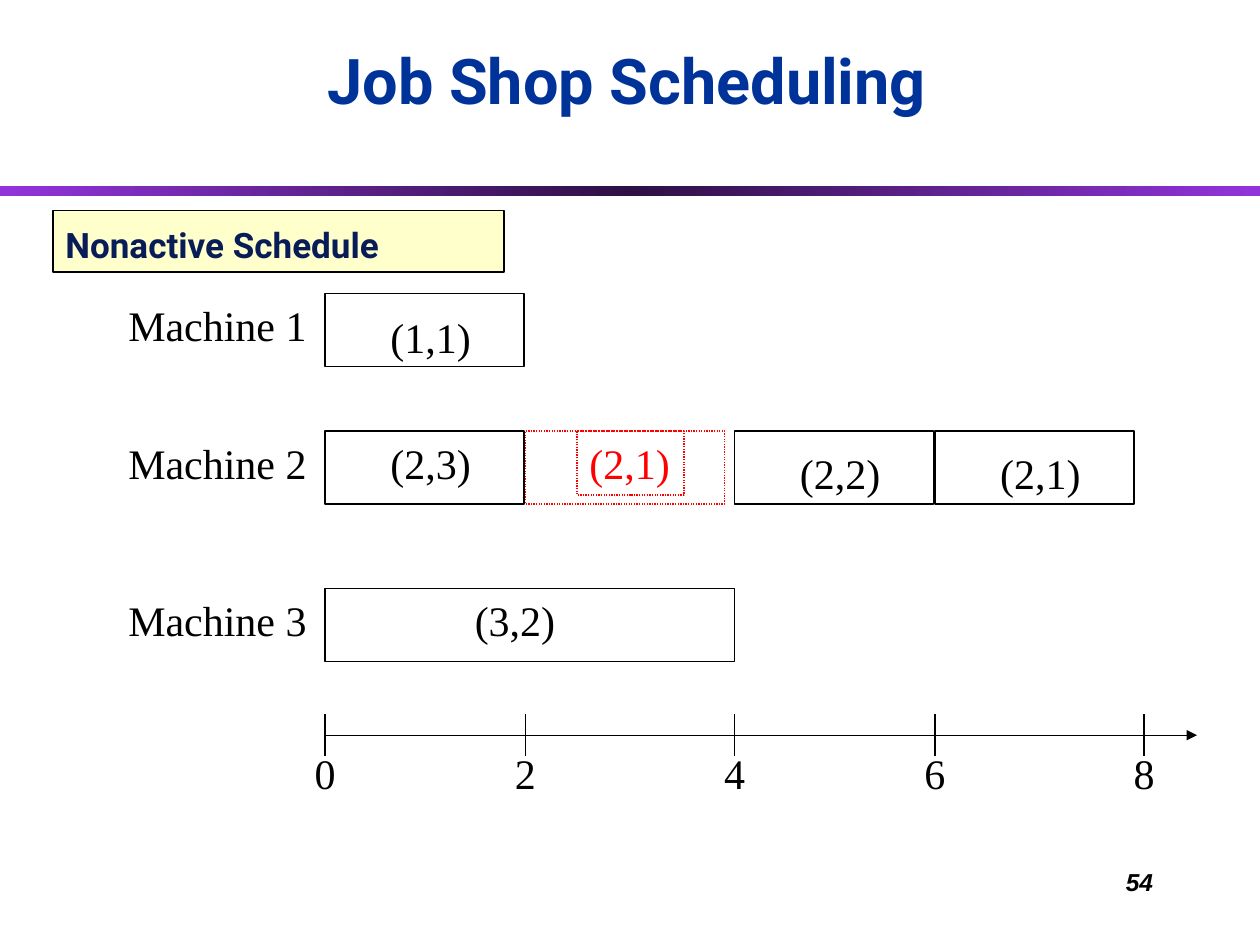
import copy
from dataclasses import dataclass

import pptx
import pptx.dml.color
import pptx.enum.dml
import pptx.enum.shapes
import pptx.enum.text
import pptx.oxml
import pptx.oxml.ns
import pptx.util

Inches = pptx.util.Inches
Align = pptx.enum.text.PP_ALIGN
Anchor = pptx.enum.text.MSO_ANCHOR


@dataclass(frozen=True)
class Theme:
    """Colours, fonts and sizes of the slide."""
    title: str = "003399"
    heading: str = "081D58"
    heading_fill: str = "FFFFCC"
    ink: str = "000000"
    alert: str = "FF0000"
    band_edge: str = "9234DB"
    band_middle: str = "2E1045"
    heading_font: str = "Roboto"
    body_font: str = "Times New Roman"
    number_font: str = "Arial"
    title_size: int = 36
    heading_size: int = 20
    body_size: int = 24
    number_size: int = 14
    line_width: float = 0.75


THEME = Theme()
TICKS = {0: 2.58, 2: 4.17, 4: 5.83, 6: 7.42, 8: 9.08}
BAR_WIDTH, BAR_HEIGHT = 1.58, 0.58
LABEL_WIDTH, LABEL_HEIGHT = 0.84, 0.5
MACHINES = [
    ("Machine 1", 2.33, [("(1,1)", 0, BAR_WIDTH, 0.42, 0.09)]),
    ("Machine 2", 3.42, [("(2,3)", 0, BAR_WIDTH, 0.42, 0),
                         ("(2,2)", 4, BAR_WIDTH, 0.42, 0.08),
                         ("(2,1)", 6, BAR_WIDTH, 0.42, 0.08)]),
    ("Machine 3", 4.67, [("(3,2)", 0, 3.25, 1.09, 0)]),
]


def rgb(value):
    """Return a colour from its hexadecimal value."""
    return pptx.dml.color.RGBColor.from_string(value)


def write(shape, text, size, color, font, align=Align.LEFT, anchor=Anchor.TOP,
          wrap=True, bold=False, italic=False):
    """Write one formatted run into a shape."""
    frame = shape.text_frame
    frame.word_wrap = wrap
    frame.vertical_anchor = anchor
    frame.margin_left = frame.margin_right = Inches(0.1)
    frame.margin_top = frame.margin_bottom = Inches(0.05)
    paragraph = frame.paragraphs[0]
    paragraph.alignment = align
    run = paragraph.add_run()
    run.text = text
    run.font.size = pptx.util.Pt(size)
    run.font.name = font
    run.font.bold = bold
    run.font.italic = italic
    run.font.color.rgb = rgb(color)


def add_label(slide, box, text, color=THEME.ink, **options):
    """Add a body-sized text box."""
    shape = slide.shapes.add_textbox(*map(Inches, box))
    write(shape, text, THEME.body_size, color, THEME.body_font, **options)
    return shape


def outline(shape, color, dotted=False):
    """Give a shape a thin solid or dotted line."""
    shape.line.color.rgb = rgb(color)
    shape.line.width = pptx.util.Pt(THEME.line_width)
    if dotted:
        shape.line.dash_style = pptx.enum.dml.MSO_LINE.ROUND_DOT


def add_box(slide, box, color=THEME.ink, fill=None, dotted=False):
    """Add an outlined rectangle."""
    shape = slide.shapes.add_shape(
        pptx.enum.shapes.MSO_SHAPE.RECTANGLE, *map(Inches, box))
    shape.shadow.inherit = False
    if fill:
        shape.fill.solid()
        shape.fill.fore_color.rgb = rgb(fill)
    else:
        shape.fill.background()
    outline(shape, color, dotted)
    return shape


def add_line(slide, start, end, arrow=False):
    """Add a straight line, with an arrowhead at its end on request."""
    connector = slide.shapes.add_connector(
        pptx.enum.shapes.MSO_CONNECTOR.STRAIGHT, *map(Inches, start + end))
    outline(connector, THEME.ink)
    properties = connector._element.spPr
    if arrow:
        head = pptx.oxml.parse_xml(
            f'<a:tailEnd {pptx.oxml.ns.nsdecls("a")} type="triangle"/>')
        connector.line._get_or_add_ln().append(head)
    properties.append(pptx.oxml.parse_xml(
        f'<a:effectLst {pptx.oxml.ns.nsdecls("a")}/>'))


def add_band(slide, box):
    """Add the gradient band below the title."""
    band = add_box(slide, box)
    band.line.fill.background()
    band.fill.gradient()
    band.fill.gradient_angle = 0
    first = band.fill.gradient_stops[0]._gs
    first.addnext(copy.deepcopy(first))
    colors = (THEME.band_edge, THEME.band_middle, THEME.band_edge)
    for index, (stop, color) in enumerate(zip(band.fill.gradient_stops, colors)):
        stop.position = index / 2
        stop.color.rgb = rgb(color)


def add_headings(slide, title_box, heading_box, number_box):
    """Place the title, the schedule heading and the slide number."""
    title = slide.shapes.title
    title.left, title.top, title.width, title.height = map(Inches, title_box)
    write(title, "Job Shop Scheduling", THEME.title_size, THEME.title,
          THEME.heading_font, Align.CENTER, Anchor.BOTTOM, bold=True)
    heading = add_box(slide, heading_box, fill=THEME.heading_fill)
    write(heading, "Nonactive Schedule", THEME.heading_size, THEME.heading,
          THEME.heading_font, anchor=Anchor.BOTTOM, bold=True)
    number = slide.shapes.add_textbox(*map(Inches, number_box))
    write(number, "54", THEME.number_size, THEME.ink, THEME.number_font,
          Align.RIGHT, bold=True, italic=True)


def add_machine(slide, box, name, jobs):
    """Add one machine row: its name and its job bars."""
    left, top, width, height = box
    add_label(slide, (left, top, width, LABEL_HEIGHT), name)
    for text, start, length, shift, drop in jobs:
        bar_left = TICKS[start]
        add_box(slide, (bar_left, top, length, height))
        add_label(slide, (bar_left + shift, top + drop, LABEL_WIDTH, LABEL_HEIGHT),
                  text, wrap=False)


def add_possible_job(slide, box):
    """Add the dotted slot where a job could start earlier."""
    left, top, width, height = box
    add_box(slide, box, THEME.alert, dotted=True)
    label = add_label(slide, (left + 0.41, top, 0.85, 0.51), "(2,1)",
                      THEME.alert, wrap=False)
    outline(label, THEME.alert, dotted=True)


def add_time_axis(slide, box):
    """Add the time arrow with its ticks and numbers."""
    left, top, width, height = box
    middle = top + height / 2
    add_line(slide, (left, middle), (left + width, middle), arrow=True)
    for time, position in TICKS.items():
        add_line(slide, (position, top), (position, top + height))
        add_label(slide, (position - 0.2, top + 0.21, 0.4, LABEL_HEIGHT),
                  str(time), align=Align.CENTER, wrap=False)


def main():
    """Build and save the slide."""
    presentation = pptx.Presentation()
    presentation.slide_width = Inches(10)
    presentation.slide_height = Inches(7.5)
    slide = presentation.slides.add_slide(presentation.slide_layouts[5])
    add_band(slide, (0, 1.48, 10, 0.08))
    add_headings(slide, (0.17, 0.33, 9.61, 0.65), (0.42, 1.67, 3.58, 0.49),
                 (7.17, 6.83, 2.08, 0.5))
    for name, top, jobs in MACHINES:
        add_machine(slide, (0.92, top, 1.67, BAR_HEIGHT), name, jobs)
    add_possible_job(slide, (TICKS[2], 3.42, BAR_WIDTH, BAR_HEIGHT))
    add_time_axis(slide, (TICKS[0], 5.67, 6.92, 0.33))
    presentation.save("out.pptx")


if __name__ == "__main__":
    main()
